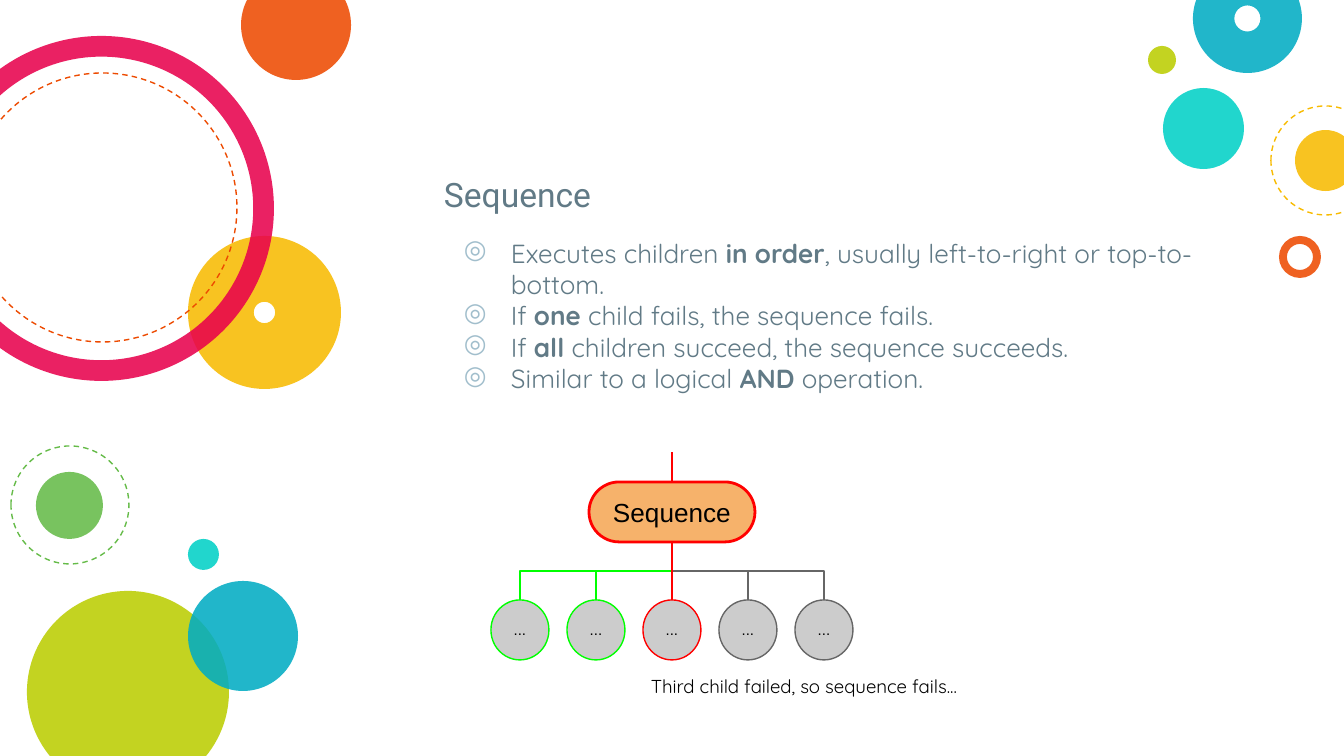
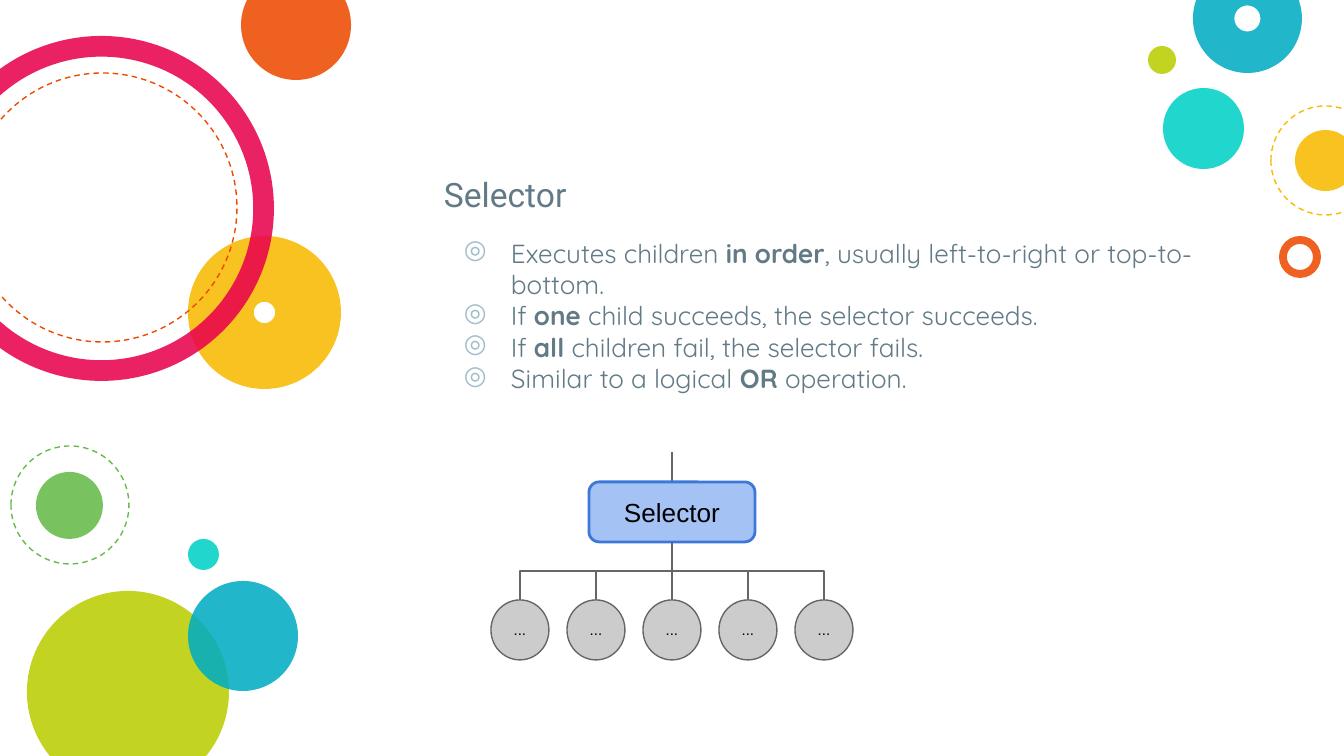
from lxml.etree import SubElement
from pptx import Presentation
from pptx.dml.color import RGBColor
from pptx.enum.dml import MSO_LINE
from pptx.enum.shapes import MSO_CONNECTOR, MSO_SHAPE
from pptx.enum.text import MSO_ANCHOR, PP_ALIGN
from pptx.oxml.ns import qn
from pptx.util import Pt

EMU_PER_PX = 914400 / 134.4
SLIDE_WIDTH, SLIDE_HEIGHT = 1344, 756
INSET = 13

SLATE, BULLET, BLACK = "617A86", "A1BECC", "000000"
GREY, GREEN, RED, NODE_FILL = "666666", "00FF00", "FF0000", "CCCCCC"
TEAL, LIME, LEAF, YELLOW = "00D1C6", "BBCD00", "65BB48", "F8BB00"
ORANGE, PINK, BLUE = "ED4A00", "E8004C", "00ACC3"

BUBBLES = [
    ("disc", 188, 539, 31, TEAL),
    ("disc", 27, 591, 202, LIME),
    ("disc", 36, 472, 67, LEAF),
    ("dashed", 11, 446, 118, LEAF),
    (0.43, 188, 236, 153, YELLOW),
    ("disc", 241, -30, 110, ORANGE),
    (0.06, -71, 36, 345, PINK),
    ("dashed", -32, 73, 269, ORANGE),
    ("disc", 188, 581, 110, BLUE),
    ("disc", 1163, 88, 81, TEAL),
    (0.19, 1279, 236, 42, ORANGE),
    ("disc", 1295, 130, 61, YELLOW),
    (0.38, 1193, -36, 109, BLUE),
    ("disc", 1148, 46, 28, LIME),
    ("dashed", 1271, 106, 109, YELLOW),
]

ORDER_RULE = [("Executes children ", False), ("in order", True),
              (", usually left-to-right or top-to-bottom.", False)]

SLIDES = [
    {
        "title": "Sequence",
        "bullets": [
            ORDER_RULE,
            [("If ", False), ("one ", True), ("child fails, the sequence fails.", False)],
            [("If ", False), ("all", True), (" children succeed, the sequence succeeds.", False)],
            [("Similar to a logical ", False), ("AND", True), (" operation.", False)],
        ],
        "root": (MSO_SHAPE.ROUND_2_SAME_RECTANGLE, (0.5, 0.5), "F6B26B", RED),
        "stem": RED,
        "children": [GREEN, GREEN, RED, GREY, GREY],
        "caption": "Third child failed, so sequence fails...",
    },
    {
        "title": "Selector",
        "bullets": [
            ORDER_RULE,
            [("If ", False), ("one ", True), ("child succeeds, the selector succeeds.", False)],
            [("If ", False), ("all", True), (" children fail, the selector fails.", False)],
            [("Similar to a logical ", False), ("OR ", True), ("operation.", False)],
        ],
        "root": (MSO_SHAPE.ROUNDED_RECTANGLE, (0.17,), "A4C2F4", "3C78D8"),
        "stem": GREY,
        "children": [GREY] * 5,
        "caption": None,
    },
]

TITLE_BOX = (431, 133, 776, 94)
BODY_BOX = (431, 224, 776, 239)
CAPTION_BOX = (638, 664, 383, 36)
CENTRE = 672
STEM_TOP = 452
ROOT_TOP, ROOT_WIDTH, ROOT_HEIGHT = 482, 166, 60
CHILD_TOP, CHILD_WIDTH, CHILD_HEIGHT, CHILD_STEP = 600, 58, 60, 76
BRANCH_ORDER = (3, 4, 0, 1, 2)


def px(value):
    return round(value * EMU_PER_PX)


def color(hex_value):
    return RGBColor.from_string(hex_value)


def style_font(font, name, size, hex_value):
    font.name = name
    font.size = Pt(size)
    font.color.rgb = color(hex_value)


def set_frame(shape, anchor):
    frame = shape.text_frame
    frame.word_wrap = True
    frame.vertical_anchor = anchor
    frame.margin_left = frame.margin_right = px(INSET)
    frame.margin_top = frame.margin_bottom = px(INSET)
    return frame


def add_shape(slide, kind, box, fill=None, line=None, line_width=0.75):
    shape = slide.shapes.add_shape(kind, *map(px, box))
    shape.shadow.inherit = False
    if fill:
        shape.fill.solid()
        shape.fill.fore_color.rgb = color(fill)
    else:
        shape.fill.background()
    if line:
        shape.line.color.rgb = color(line)
        shape.line.width = Pt(line_width)
    else:
        shape.line.fill.background()
    return shape


def add_label(shape, text, size):
    paragraph = set_frame(shape, MSO_ANCHOR.MIDDLE).paragraphs[0]
    paragraph.text = text
    paragraph.alignment = PP_ALIGN.CENTER
    style_font(paragraph.font, "Arial", size, BLACK)


def add_text(slide, box, text, font_style, anchor=MSO_ANCHOR.TOP):
    text_box = slide.shapes.add_textbox(*map(px, box))
    paragraph = set_frame(text_box, anchor).paragraphs[0]
    paragraph.text = text
    style_font(paragraph.font, *font_style)


def add_bullets(slide, bullets):
    text_box = slide.shapes.add_textbox(*map(px, BODY_BOX))
    frame = set_frame(text_box, MSO_ANCHOR.TOP)
    for index, runs in enumerate(bullets):
        paragraph = frame.add_paragraph() if index else frame.paragraphs[0]
        properties = paragraph._p.get_or_add_pPr()
        properties.set("marL", str(px(67)))
        properties.set("indent", str(px(-47)))
        bullet_color = SubElement(properties, qn("a:buClr"))
        SubElement(bullet_color, qn("a:srgbClr")).set("val", BULLET)
        SubElement(properties, qn("a:buChar")).set("char", "◎")
        style_font(paragraph.font, "Quicksand", 14, SLATE)
        for text, bold in runs:
            run = paragraph.add_run()
            run.text = text
            run.font.bold = bold


def add_line(slide, kind, start, end, hex_value):
    connector = slide.shapes.add_connector(kind, *map(px, start + end))
    connector.line.color.rgb = color(hex_value)
    connector.line.width = Pt(0.75)
    SubElement(connector.element.spPr, qn("a:effectLst"))
    return connector


def add_branch(slide, child_x, hex_value):
    start_y = ROOT_TOP + ROOT_HEIGHT
    drop, reach = CHILD_TOP - start_y, abs(child_x - CENTRE)
    middle_x, middle_y = (CENTRE + child_x) / 2, (start_y + CHILD_TOP) / 2
    to_left = child_x < CENTRE
    side = -1 if to_left else 1
    start = (middle_x + side * drop / 2, middle_y - reach / 2)
    end = (middle_x - side * drop / 2, middle_y + reach / 2)
    connector = add_line(slide, MSO_CONNECTOR.ELBOW, start, end, hex_value)
    rotation = 90 if to_left else 270
    connector.element.spPr.find(qn("a:xfrm")).set("rot", str(rotation * 60000))


def add_tree(slide, content):
    add_line(slide, MSO_CONNECTOR.STRAIGHT, (CENTRE, ROOT_TOP), (CENTRE, STEM_TOP), content["stem"])
    kind, adjustments, fill, line = content["root"]
    root_box = (CENTRE - ROOT_WIDTH / 2, ROOT_TOP, ROOT_WIDTH, ROOT_HEIGHT)
    root = add_shape(slide, kind, root_box, fill, line, 1.5)
    for index, adjustment in enumerate(adjustments):
        root.adjustments[index] = adjustment
    add_label(root, content["title"], 14)

    children = content["children"]
    centres = [CENTRE + (index - len(children) // 2) * CHILD_STEP for index in range(len(children))]
    for index in BRANCH_ORDER:
        add_branch(slide, centres[index], children[index])
    for centre, line in zip(centres, children):
        child_box = (centre - CHILD_WIDTH / 2, CHILD_TOP, CHILD_WIDTH, CHILD_HEIGHT)
        add_label(add_shape(slide, MSO_SHAPE.OVAL, child_box, NODE_FILL, line), "...", 8)


def move_bubbles_to_layout(slide, layout):
    for placeholder in list(layout.placeholders):
        layout.shapes.element.remove(placeholder.element)
    for style, left, top, size, hex_value in BUBBLES:
        box = (left, top, size, size)
        if style == "dashed":
            shape = add_shape(slide, MSO_SHAPE.OVAL, box, line=hex_value)
            shape.line.dash_style = MSO_LINE.DASH
        else:
            kind = MSO_SHAPE.OVAL if style == "disc" else MSO_SHAPE.DONUT
            shape = add_shape(slide, kind, box, hex_value)
            if style != "disc":
                shape.adjustments[0] = style
            fill_color = shape.element.spPr.find(qn("a:solidFill")).find(qn("a:srgbClr"))
            SubElement(fill_color, qn("a:alpha")).set("val", "87000")
        layout.shapes.element.append(shape.element)


def main():
    presentation = Presentation()
    presentation.slide_width = px(SLIDE_WIDTH)
    presentation.slide_height = px(SLIDE_HEIGHT)
    layout = presentation.slide_layouts[6]
    for index, content in enumerate(SLIDES):
        slide = presentation.slides.add_slide(layout)
        if index == 0:
            move_bubbles_to_layout(slide, layout)
        add_text(slide, TITLE_BOX, content["title"], ("Roboto", 18, SLATE), MSO_ANCHOR.BOTTOM)
        add_bullets(slide, content["bullets"])
        add_tree(slide, content)
        if content["caption"]:
            add_text(slide, CAPTION_BOX, content["caption"], ("Quicksand", 10, BLACK))
    presentation.save("out.pptx")


if __name__ == "__main__":
    main()
